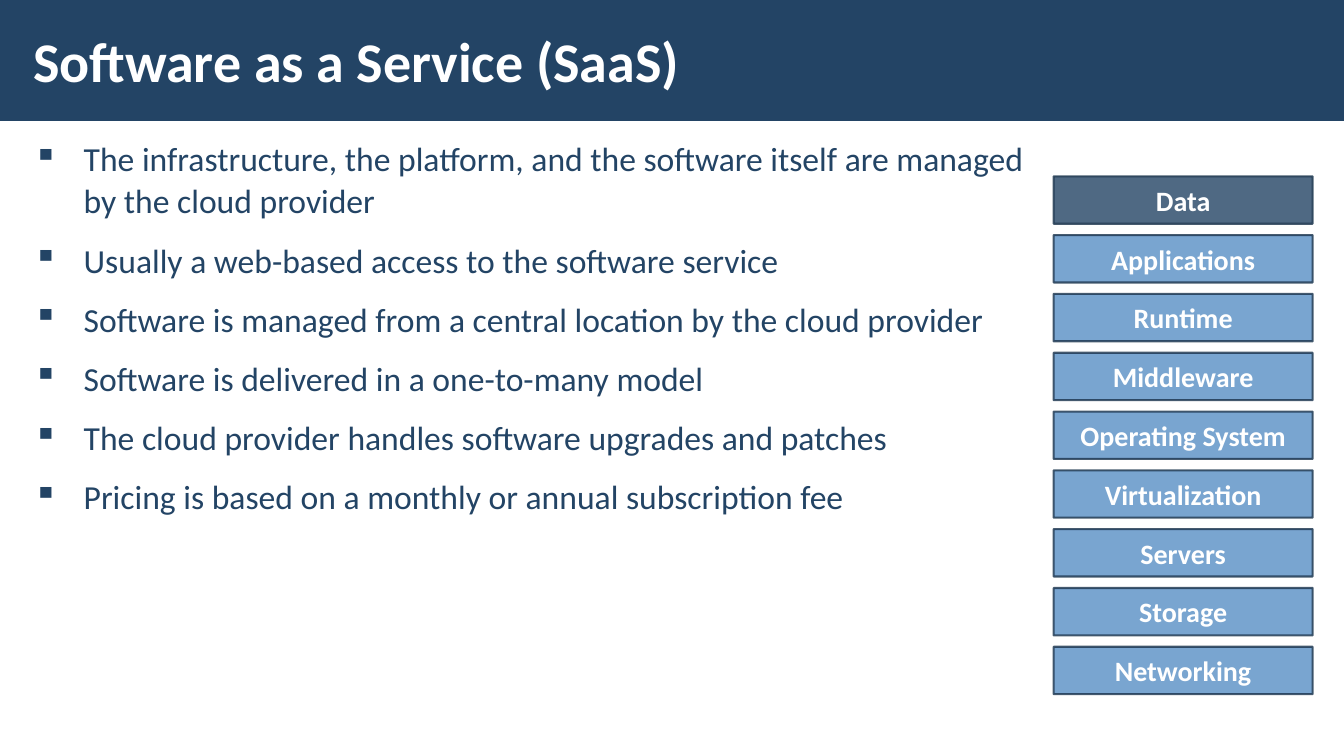
from dataclasses import dataclass

from lxml import etree
from pptx import Presentation
from pptx.dml.color import RGBColor
from pptx.enum.shapes import MSO_SHAPE
from pptx.enum.text import MSO_ANCHOR, PP_ALIGN
from pptx.oxml.ns import qn
from pptx.util import Inches, Pt

RECTANGLE = MSO_SHAPE.RECTANGLE
MIDDLE = MSO_ANCHOR.MIDDLE
TOP = MSO_ANCHOR.TOP
CENTER = PP_ALIGN.CENTER

NAVY = RGBColor(0x23, 0x44, 0x65)
DARK_NAVY = RGBColor(0x1A, 0x33, 0x4C)
SKY = RGBColor(0x58, 0x8F, 0xC5)
WHITE = RGBColor(0xFF, 0xFF, 0xFF)

FONT = "Calibri"
OPACITY = 80
PAGE_WIDTH, PAGE_HEIGHT = 13.33, 7.5
BANNER_SHARE = 0.16
STACK_LEFT, STACK_TOP = 10.45, 1.75
LAYER_WIDTH, LAYER_HEIGHT = 2.57, 0.47
ROW_STEP = 7 / 12

TITLE = "Software as a Service (SaaS)"
POINTS = (
    "The infrastructure, the platform, and the software itself are managed by the cloud provider",
    "Usually a web-based access to the software service",
    "Software is managed from a central location by the cloud provider",
    "Software is delivered in a one-to-many model",
    "The cloud provider handles software upgrades and patches",
    "Pricing is based on a monthly or annual subscription fee",
)


@dataclass(frozen=True)
class Layer:
    name: str
    color: RGBColor = SKY


LAYERS = (
    Layer("Data", NAVY),
    Layer("Applications"),
    Layer("Runtime"),
    Layer("Middleware"),
    Layer("Operating System"),
    Layer("Virtualization"),
    Layer("Servers"),
    Layer("Storage"),
    Layer("Networking"),
)


def add_span(para, text: str, size: int, color: RGBColor, bold: bool = False) -> None:
    span = para.add_run()
    span.text = text
    span.font.name = FONT
    span.font.size = Pt(size)
    span.font.bold = bold
    span.font.color.rgb = color


def add_rectangle(page, left: float, top: float, width: float, height: float, color: RGBColor):
    box = page.shapes.add_shape(
        RECTANGLE, Inches(left), Inches(top), Inches(width), Inches(height)
    )
    box.shadow.inherit = False
    box.fill.solid()
    box.fill.fore_color.rgb = color
    box.line.fill.background()
    return box


def add_text_frame(page, left: float, top: float, width: float, height: float, anchor):
    box = page.shapes.add_textbox(
        Inches(left), Inches(top), Inches(width), Inches(height)
    )
    frame = box.text_frame
    frame.word_wrap = True
    frame.vertical_anchor = anchor
    frame.margin_left = frame.margin_right = Inches(0.12)
    frame.margin_top = frame.margin_bottom = Inches(0.04)
    return frame


def add_bullet(para) -> None:
    properties = para._p.get_or_add_pPr()
    properties.set("marL", str(Inches(0.5)))
    properties.set("indent", str(Inches(-0.5)))
    etree.SubElement(properties, qn("a:buChar"), char="▪")


def add_points(page) -> None:
    frame = add_text_frame(page, 0.21, 1.31, 10.08, 5.69, TOP)
    for index, point in enumerate(POINTS):
        para = frame.add_paragraph() if index else frame.paragraphs[0]
        add_bullet(para)
        para.line_spacing = 1.05
        para.space_before = Pt(6 if index else 0)
        para.space_after = Pt(6)
        add_span(para, point, 24, NAVY)


def add_layer(page, layer: Layer, row: int) -> None:
    top = STACK_TOP + row * ROW_STEP
    box = add_rectangle(page, STACK_LEFT, top, LAYER_WIDTH, LAYER_HEIGHT, layer.color)
    box.line.color.rgb = DARK_NAVY
    box.line.width = Pt(1.5)
    for color in box._element.spPr.iter(qn("a:srgbClr")):
        etree.SubElement(color, qn("a:alpha"), val=str(OPACITY * 1000))
    frame = box.text_frame
    frame.word_wrap = True
    frame.vertical_anchor = MIDDLE
    para = frame.paragraphs[0]
    para.alignment = CENTER
    add_span(para, layer.name, 20, WHITE, bold=True)


def main() -> None:
    deck = Presentation()
    deck.slide_width = Inches(PAGE_WIDTH)
    deck.slide_height = Inches(PAGE_HEIGHT)
    page = deck.slides.add_slide(deck.slide_layouts[6])

    add_rectangle(page, 0, 0, PAGE_WIDTH, PAGE_HEIGHT * BANNER_SHARE, NAVY)
    add_points(page)
    title = add_text_frame(page, 0.21, 0.11, 10.4, 0.97, MIDDLE)
    add_span(title.paragraphs[0], TITLE, 40, WHITE, bold=True)
    for row, layer in enumerate(LAYERS):
        add_layer(page, layer, row)

    deck.save("out.pptx")


if __name__ == "__main__":
    main()
